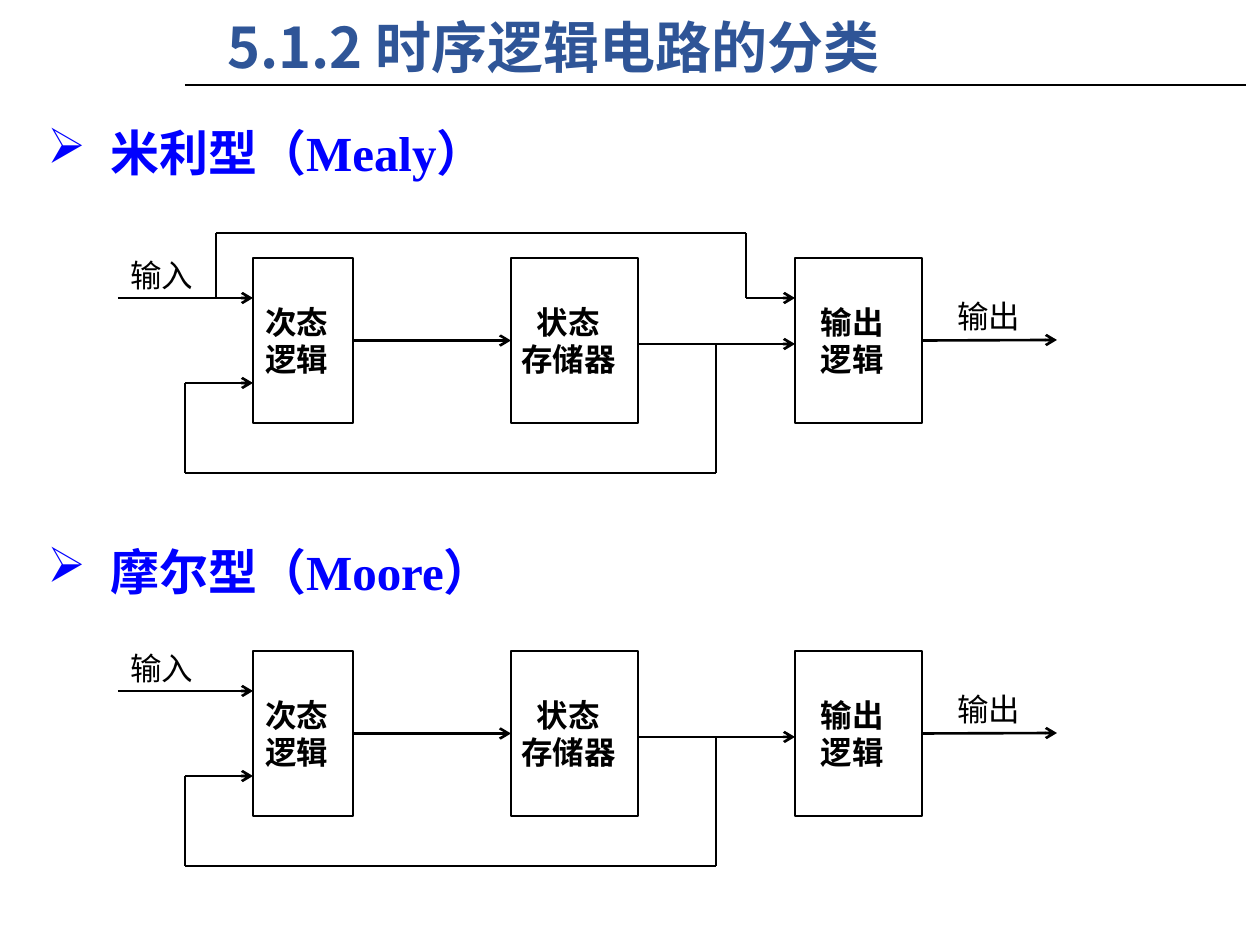
from dataclasses import dataclass

from lxml import etree
from pptx import Presentation
from pptx.dml.color import RGBColor
from pptx.enum.shapes import MSO_CONNECTOR, MSO_SHAPE
from pptx.enum.text import MSO_ANCHOR, PP_ALIGN
from pptx.oxml.ns import qn
from pptx.util import Emu, Pt

STRAIGHT = MSO_CONNECTOR.STRAIGHT
RECTANGLE = MSO_SHAPE.RECTANGLE
MIDDLE = MSO_ANCHOR.MIDDLE
LEFT, CENTER = PP_ALIGN.LEFT, PP_ALIGN.CENTER
LEFT_SIDE, RIGHT_SIDE = 1, 3
EMU_PER_PX = 914400 / 126


@dataclass(frozen=True)
class Theme:
    ink: RGBColor = RGBColor(0, 0, 0)
    title: RGBColor = RGBColor(0x2F, 0x55, 0x97)
    heading: RGBColor = RGBColor(0, 0, 0xFF)
    title_size: int = 32
    heading_size: int = 28
    body_size: int = 18
    rule_width: float = 1.25
    box_width: float = 0.75
    wire_width: float = 1.5
    chinese: str = "Noto Sans CJK SC"
    serif: str = "Times New Roman"
    sans: str = "Calibri"


def px(value):
    return Emu(round(value * EMU_PER_PX))


class SlideBuilder:
    def __init__(self, slide, theme):
        self.shapes = slide.shapes
        self.theme = theme

    def font_format(self, name, size, color, bold):
        return {"name": name, "size": Pt(size), "bold": bold, "color": color}

    def fill_text(self, frame, lines, font_format, align=LEFT, spacing=None, bullet=None):
        for index, line in enumerate(lines):
            paragraph = frame.paragraphs[0] if index == 0 else frame.add_paragraph()
            paragraph.alignment = align
            if spacing:
                paragraph.line_spacing = spacing
            if bullet:
                properties = paragraph._p.get_or_add_pPr()
                properties.set("marL", str(px(63)))
                properties.set("indent", str(px(-63)))
                etree.SubElement(properties, qn("a:buChar")).set("char", bullet)
            run = paragraph.add_run()
            run.text = line
            for key, value in font_format.items():
                if key == "color":
                    run.font.color.rgb = value
                else:
                    setattr(run.font, key, value)
            east_asian = etree.SubElement(run._r.get_or_add_rPr(), qn("a:ea"))
            east_asian.set("typeface", self.theme.chinese)

    def text(self, left, top, width, height, line, font_format, wrap=True, **layout):
        box = self.shapes.add_textbox(px(left), px(top), px(width), px(height))
        box.text_frame.word_wrap = wrap
        self.fill_text(box.text_frame, [line], font_format, **layout)

    def title(self, line):
        theme = self.theme
        style = self.font_format(theme.chinese, theme.title_size, theme.title, True)
        self.text(215, 6, 882, 81, line, style)

    def heading(self, top, line):
        theme = self.theme
        style = self.font_format(theme.serif, theme.heading_size, theme.heading, True)
        self.text(35, top, 1166, 102, line, style, spacing=1.5, bullet="➢")

    def label(self, left, top, line):
        theme = self.theme
        style = self.font_format(theme.sans, theme.body_size, theme.ink, False)
        self.text(left, top, 89, 50, line, style, wrap=False)

    def block(self, left, top, width, height, lines):
        theme = self.theme
        shape = self.shapes.add_shape(RECTANGLE, px(left), px(top), px(width), px(height))
        shape.shadow.inherit = False
        shape.fill.background()
        shape.line.color.rgb = theme.ink
        shape.line.width = Pt(theme.box_width)
        frame = shape.text_frame
        settings = {"word_wrap": True, "vertical_anchor": MIDDLE,
                    "margin_left": 0, "margin_right": px(12)}
        for key, value in settings.items():
            setattr(frame, key, value)
        style = self.font_format(theme.serif, theme.body_size, theme.ink, True)
        self.fill_text(frame, lines, style, align=CENTER)
        return shape

    def wire(self, start, end, arrow=False, width=None, source=None, target=None):
        """Draw a line; source and target are blocks joined right side to left side."""
        connector = self.shapes.add_connector(STRAIGHT, *map(px, start + end))
        if source is not None:
            connector.begin_connect(source, RIGHT_SIDE)
        if target is not None:
            connector.end_connect(target, LEFT_SIDE)
        connector.line.color.rgb = self.theme.ink
        connector.line.width = Pt(width or self.theme.wire_width)
        if arrow:
            line_properties = connector._element.spPr.find(qn("a:ln"))
            etree.SubElement(line_properties, qn("a:tailEnd")).set("type", "arrow")
        etree.SubElement(connector._element.spPr, qn("a:effectLst"))

    def route(self, *points):
        """Draw a chain of wires that ends in an arrow."""
        last = len(points) - 2
        for index, (start, end) in enumerate(zip(points, points[1:])):
            self.wire(start, end, arrow=index == last)

    def state_machine(self, top, has_bypass):
        input_y, middle_y, state_y = top + 40, top + 82, top + 86
        feedback_y, bottom_y, bypass_y = top + 125, top + 215, top - 25
        next_state = self.block(253, top, 100, 165, ["次态逻辑"])
        memory = self.block(511, top, 127, 165, ["状态", "存储器"])
        output = self.block(795, top, 127, 165, ["输出", "逻辑"])

        self.route((118, input_y), (253, input_y))
        self.wire((353, middle_y), (511, middle_y), arrow=True,
                  source=next_state, target=memory)
        self.route((638, state_y), (795, state_y))
        self.route((716, state_y), (716, bottom_y), (185, bottom_y),
                   (185, feedback_y), (253, feedback_y))
        if has_bypass:
            self.route((216, input_y), (216, bypass_y), (746, bypass_y),
                       (746, input_y), (795, input_y))
        self.wire((922, middle_y), (1057, middle_y), arrow=True, source=output)
        self.label(118, top - 8, "输入")
        self.label(945, top + 33, "输出")


def main():
    presentation = Presentation()
    presentation.slide_width, presentation.slide_height = px(1260), px(945)
    slide = presentation.slides.add_slide(presentation.slide_layouts[6])
    theme = Theme()
    builder = SlideBuilder(slide, theme)

    builder.wire((185, 85), (1246, 85), width=theme.rule_width)
    builder.title("5.1.2 时序逻辑电路的分类")
    machines = [("米利型（Mealy）", 87, 258, True), ("摩尔型（Moore）", 506, 651, False)]
    for name, heading_top, diagram_top, has_bypass in machines:
        builder.heading(heading_top, name)
        builder.state_machine(diagram_top, has_bypass)
    presentation.save("out.pptx")


if __name__ == "__main__":
    main()
